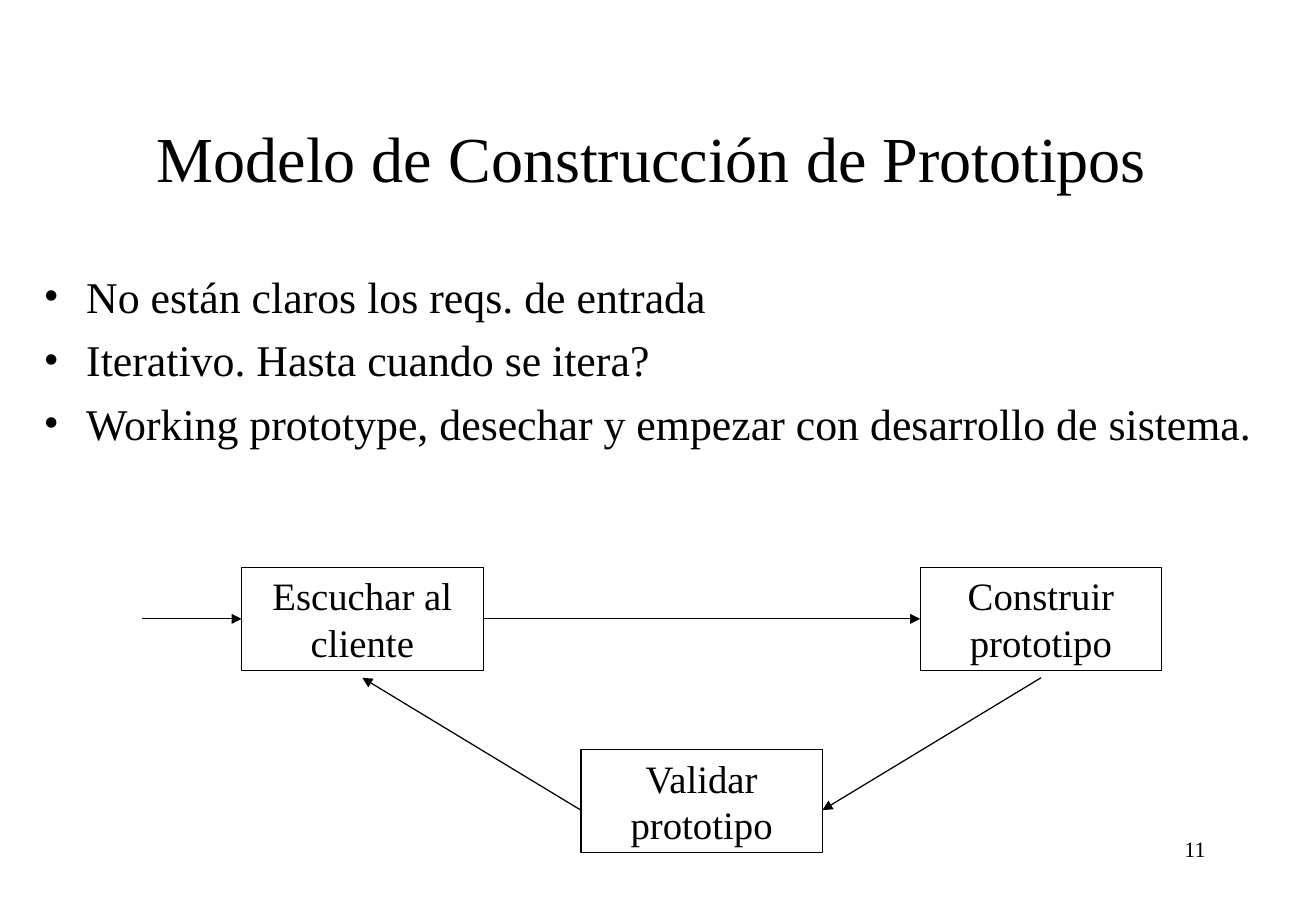
from pptx import Presentation
from pptx import util as u
from pptx.dml.color import RGBColor
from pptx.enum import shapes, text
from pptx.oxml.ns import qn
from lxml import etree

FONT = "Times New Roman"
INK = "000000"
LEFT, CENTER, RIGHT = text.PP_ALIGN.LEFT, text.PP_ALIGN.CENTER, text.PP_ALIGN.RIGHT


def color(value):
    return RGBColor.from_string(value)


def set_frame(shape, anchor, side, top):
    frame = shape.text_frame
    frame.word_wrap = True
    frame.vertical_anchor = anchor
    frame.margin_left = frame.margin_right = u.Inches(side)
    frame.margin_top = frame.margin_bottom = u.Inches(top)
    return frame


def add_run(paragraph, words, size, align):
    paragraph.alignment = align
    run = paragraph.add_run()
    run.text = words
    run.font.size = u.Pt(size)
    run.font.name = FONT
    run.font.color.rgb = color(INK)


def add_text(slide, box, words, size, align, anchor=text.MSO_ANCHOR.TOP):
    shape = slide.shapes.add_textbox(*map(u.Inches, box))
    frame = set_frame(shape, anchor, 0.09, 0.05)
    add_run(frame.paragraphs[0], words, size, align)


def add_bullets(slide, box, lines):
    shape = slide.shapes.add_textbox(*map(u.Inches, box))
    frame = set_frame(shape, text.MSO_ANCHOR.TOP, 0.09, 0.05)
    for index, line in enumerate(lines):
        paragraph = frame.add_paragraph() if index else frame.paragraphs[0]
        paragraph.space_before = u.Pt(6.5)
        add_run(paragraph, line, 26, LEFT)
        properties = paragraph._p.get_or_add_pPr()
        properties.set("marL", str(u.Inches(0.35)))
        properties.set("indent", str(u.Inches(-0.35)))
        etree.SubElement(properties, qn("a:buFont"), typeface=FONT)
        etree.SubElement(properties, qn("a:buChar"), char="•")


def add_step(slide, box, words):
    shape = slide.shapes.add_shape(shapes.MSO_SHAPE.RECTANGLE, *map(u.Inches, box))
    shape.shadow.inherit = False
    shape.fill.background()
    shape.line.color.rgb = color(INK)
    shape.line.width = u.Pt(0.75)
    frame = set_frame(shape, text.MSO_ANCHOR.TOP, 0.08, 0.04)
    add_run(frame.paragraphs[0], words, 23, CENTER)
    return shape


def add_arrow(slide, start, end):
    points = map(u.Inches, (*start, *end))
    arrow = slide.shapes.add_connector(shapes.MSO_CONNECTOR.STRAIGHT, *points)
    arrow.line.color.rgb = color(INK)
    arrow.line.width = u.Pt(0.75)
    etree.SubElement(arrow.line._get_or_add_ln(), qn("a:tailEnd"), type="triangle")
    etree.SubElement(arrow._element.spPr, qn("a:effectLst"))
    return arrow


def add_cycle(slide, box):
    left, top, width, height = box
    step_width, step_height = 1.99, 0.85
    entry = 0.82
    first = left + entry
    pitch = (width - entry - step_width) / 2
    bottom = top + height - step_height
    listen, validate, build = [
        add_step(slide, (first + column * pitch, y, step_width, step_height), words)
        for column, y, words in (
            (0, top, "Escuchar al cliente"),
            (1, bottom, "Validar prototipo"),
            (2, top, "Construir prototipo"),
        )
    ]
    middle = top + step_height / 2
    below = top + step_height + 0.06
    side = bottom + 0.5
    center = first + step_width / 2
    second, third = first + pitch, first + 2 * pitch

    forward = add_arrow(slide, (first + step_width, middle), (third, middle))
    forward.begin_connect(listen, 3)
    forward.end_connect(build, 1)
    add_arrow(slide, (center + 2 * pitch, below), (second + step_width, side))
    add_arrow(slide, (second, side), (center, below))
    incoming = add_arrow(slide, (left, middle), (first, middle))
    incoming.end_connect(listen, 1)


def main():
    presentation = Presentation()
    presentation.slide_width = u.Inches(10.84)
    presentation.slide_height = u.Inches(7.5)
    slide = presentation.slides.add_slide(presentation.slide_layouts[6])
    add_text(slide, (7.76, 6.83, 2.26, 0.5), "11", 13, RIGHT)
    add_text(slide, (0.27, 0.67, 10.2, 1.25), "Modelo de Construcción de Prototipos",
             38, CENTER, text.MSO_ANCHOR.MIDDLE)
    add_bullets(slide, (0.27, 2.17, 10.2, 2.25), (
        "No están claros los reqs. de entrada",
        "Iterativo. Hasta cuando se itera?",
        "Working prototype, desechar y empezar con desarrollo de sistema.",
    ))
    add_cycle(slide, (1.17, 4.67, 8.4, 2.35))
    presentation.save("out.pptx")


if __name__ == "__main__":
    main()
